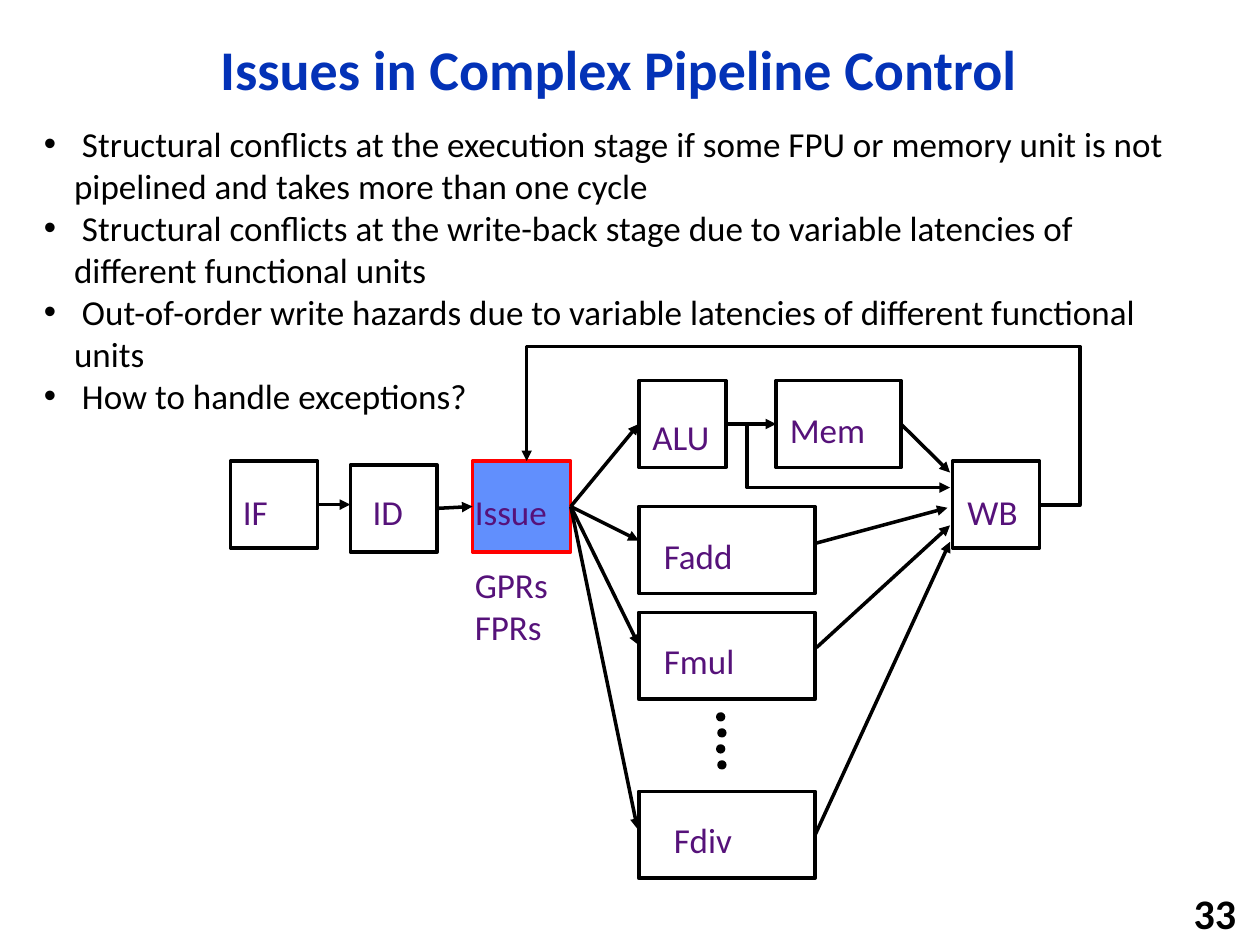
from dataclasses import dataclass
from typing import Any

from lxml.etree import SubElement
from pptx import Presentation
from pptx.dml.color import RGBColor
from pptx.enum.shapes import MSO_CONNECTOR, MSO_SHAPE
from pptx.enum.text import MSO_ANCHOR, PP_ALIGN
from pptx.oxml.ns import qn
from pptx.util import Inches, Pt

BLACK = RGBColor(0x00, 0x00, 0x00)
BLUE = RGBColor(0x03, 0x32, 0xB7)
PURPLE = RGBColor(0x56, 0x12, 0x7A)
SKY = RGBColor(0x61, 0x8F, 0xFD)
RED = RGBColor(0xFF, 0x00, 0x00)

TITLE = "Issues in Complex Pipeline Control"
ISSUES = [
    " Structural conflicts at the execution stage if some FPU or memory unit is not pipelined and takes more than one cycle",
    " Structural conflicts at the write-back stage due to variable latencies of different functional units",
    " Out-of-order write hazards due to variable latencies of different functional units",
    " How to handle exceptions?",
]
TOP, LEFT, BOTTOM, RIGHT = range(4)
SIDE = 6.9
UNIT = 14


@dataclass
class Painter:
    """Draw styled elements on a page with a grid of 100 columns by 75 rows."""

    page: Any
    cell: int = Inches(0.1)
    font: str = "Calibri"
    size: int = 20
    weight: float = 2

    def grid(self, *values):
        return [round(value * self.cell) for value in values]

    def text(self, place, lines, color=PURPLE, size=None, bold=False,
             align=PP_ALIGN.LEFT, anchor=MSO_ANCHOR.TOP, spacing=1.0, bullet=False):
        box = self.page.shapes.add_textbox(*self.grid(*place))
        frame = box.text_frame
        frame.word_wrap = True
        frame.vertical_anchor = anchor
        for index, line in enumerate(lines):
            para = frame.add_paragraph() if index else frame.paragraphs[0]
            para.alignment = align
            para.line_spacing = spacing
            if bullet:
                self.bullet(para)
            span = para.add_run()
            span.text = line
            span.font.name = self.font
            span.font.size = Pt(size or self.size)
            span.font.bold = bold
            span.font.color.rgb = color

    def bullet(self, para):
        props = para._p.get_or_add_pPr()
        hang = Inches(0.24)
        props.set("marL", str(hang))
        props.set("indent", str(-hang))
        SubElement(props, qn("a:buFont")).set("typeface", "Arial")
        SubElement(props, qn("a:buChar")).set("char", "•")

    def shape(self, place, kind=MSO_SHAPE.RECTANGLE, fill=None, line=BLACK, weight=None):
        shape = self.page.shapes.add_shape(kind, *self.grid(*place))
        shape.shadow.inherit = False
        if fill is None:
            shape.fill.background()
        else:
            shape.fill.solid()
            shape.fill.fore_color.rgb = fill
        self.stroke(shape, line, weight)
        return shape

    def stroke(self, shape, color=BLACK, weight=None):
        shape.line.color.rgb = color
        shape.line.width = Pt(weight or self.weight)

    def arrowhead(self, shape):
        self.stroke(shape)
        SubElement(shape.line._get_or_add_ln(), qn("a:tailEnd")).set("type", "triangle")

    def arrow(self, source, target, side=LEFT):
        """Join the right side of a box to a point or to the side of a box."""
        joined = not isinstance(target, tuple)
        end = (0, 0) if joined else target
        start = (0, 0) if not isinstance(source, tuple) else source
        link = self.page.shapes.add_connector(
            MSO_CONNECTOR.STRAIGHT, *self.grid(*start, *end))
        if not isinstance(source, tuple):
            link.begin_connect(source, RIGHT)
        if joined:
            link.end_connect(target, side)
        self.arrowhead(link)
        SubElement(link._element.spPr, qn("a:effectLst"))

    def route(self, points):
        """Draw a bent arrow through the given grid points."""
        places = [tuple(self.grid(*point)) for point in points]
        builder = self.page.shapes.build_freeform(*places[0])
        builder.add_line_segments(places[1:], close=False)
        shape = builder.convert_to_shape()
        shape.shadow.inherit = False
        shape.fill.background()
        self.arrowhead(shape)


def draw_stages(painter):
    stages = {
        "IF": ((18.3, 36.6, SIDE, SIDE), (18.3, 38.4, 6.7)),
        "ID": ((27.8, 36.9, SIDE, SIDE), (28.6, 38.4, 5.6)),
        "Issue": ((37.5, 36.6, 7.8, 7.2), (36.7, 38.4, 9.3)),
        "WB": ((75.6, 36.6, SIDE, SIDE), (75.8, 38.4, 6.7)),
        "ALU": ((50.7, 30.2, SIDE, SIDE), (50.8, 32.5, 7.2)),
        "Mem": ((61.6, 30.2, 9.9, SIDE), (61.7, 31.9, 8.4)),
        "Fadd": ((50.7, 40.2, UNIT, SIDE), (51.7, 41.9, 11.7)),
        "Fmul": ((50.7, 48.6, UNIT, SIDE), (51.7, 50.3, 10.8)),
        "Fdiv": ((50.7, 62.8, UNIT, SIDE), (52.5, 64.5, 10.8)),
    }
    boxes = {}
    for name, (place, label) in stages.items():
        style = {"fill": SKY, "line": RED} if name == "Issue" else {}
        boxes[name] = painter.shape(place, **style)
        painter.text((*label, 4.3), [name])
    painter.text((36.7, 44.2, 9.6, 7.7), ["GPRs", "FPRs"])
    for index in range(4):
        painter.shape((56.9 + index % 2 * 0.1, 56.6 + index * 1.27, 0.6, 0.6),
                      MSO_SHAPE.OVAL, BLACK, weight=1)
    return boxes


def draw_flow(painter, boxes):
    issue = boxes["Issue"]
    links = [
        (boxes["IF"], (27.8, 40.05)),
        (boxes["ID"], issue),
        (issue, boxes["ALU"]),
        (issue, (50.7, 42.9)),
        (issue, (50.7, 51.2)),
        (issue, (50.6, 65.8)),
        (boxes["ALU"], boxes["Mem"]),
        (boxes["Mem"], (75.4, 37.5)),
        ((64.8, 43.1), (75.2, 40.3)),
        ((64.8, 51.4), (75.4, 41.7)),
        (boxes["Fdiv"], (75.4, 43)),
    ]
    for source, target in links:
        painter.arrow(source, target)
    painter.route([(57.7, 33.6), (59.3, 33.6), (59.3, 38.7), (75.4, 38.7)])
    painter.route([(82.6, 40.1), (85.7, 40.1), (85.7, 27.5), (41.8, 27.5), (41.8, 36.6)])


def main():
    deck = Presentation()
    deck.slide_width, deck.slide_height = Inches(10), Inches(7.5)
    painter = Painter(deck.slides.add_slide(deck.slide_layouts[6]))
    painter.text((9.2, 1.7, 79.8, 8.1), [TITLE], BLUE, 32, True,
                 PP_ALIGN.CENTER, MSO_ANCHOR.MIDDLE, 0.9)
    painter.text((78.3, 70.8, 20.8, 3.2), ["33"], BLACK, 24, True,
                 PP_ALIGN.RIGHT, MSO_ANCHOR.MIDDLE)
    draw_flow(painter, draw_stages(painter))
    painter.text((2.5, 9.2, 93.3, 24.5), ISSUES, BLACK, bullet=True)
    deck.save("out.pptx")


if __name__ == "__main__":
    main()
